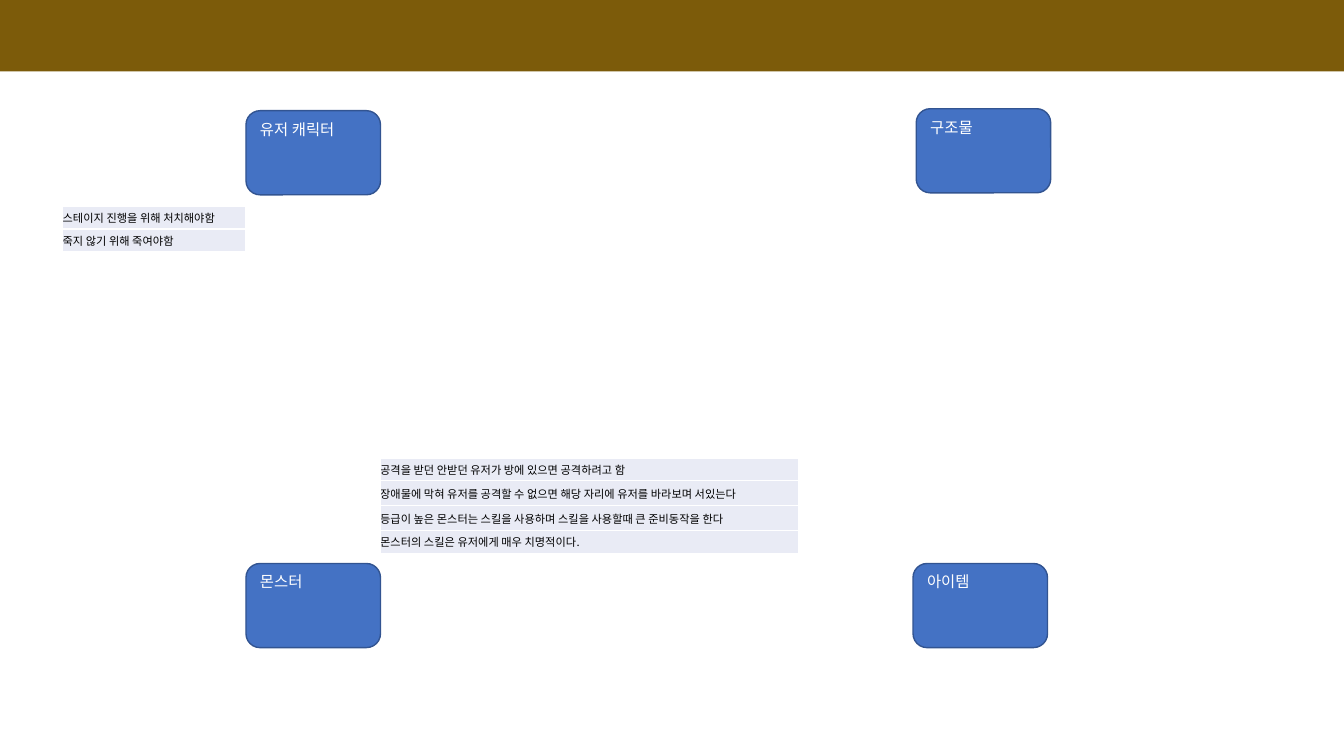
from pptx import Presentation
from pptx.dml.color import RGBColor
from pptx.enum.shapes import MSO_SHAPE as Preset
from pptx.enum.text import MSO_ANCHOR as Anchor, PP_ALIGN as Align
from pptx.oxml import parse_xml
from pptx.oxml.ns import nsdecls
from pptx.util import Cm, Pt

BROWN = RGBColor(0x7C, 0x5B, 0x0A)
BLUE = RGBColor(0x44, 0x72, 0xC4)
NAVY = RGBColor(0x32, 0x54, 0x91)
PALE = RGBColor(0xE9, 0xEB, 0xF5)
WHITE = RGBColor(0xFF, 0xFF, 0xFF)
BLACK = RGBColor(0x00, 0x00, 0x00)
FONT = "Noto Sans CJK KR"

ENTITIES = [
    ("유저 캐릭터", 6.2, 2.79),
    ("몬스터", 6.2, 14.2),
    ("아이템", 23.01, 14.2),
    ("구조물", 23.09, 2.74),
]
MONSTER_RULES = [
    ("공격을 받던 안받던 유저가 방에 있으면 공격하려고 함", 0.57),
    ("장애물에 막혀 유저를 공격할 수 없으면 해당 자리에 유저를 바라보며 서있는다", 0.63),
    ("등급이 높은 몬스터는 스킬을 사용하며 스킬을 사용할때 큰 준비동작을 한다", 0.63),
    ("몬스터의 스킬은 유저에게 매우 치명적이다.", 0.57),
]
USER_RULES = [
    ("스테이지 진행을 위해 처치해야함", 0.58),
    ("죽지 않기 위해 죽여야함", 0.58),
]


def write(frame, text, size, color):
    """Put one left-aligned line of text in a frame."""
    para = frame.paragraphs[0]
    para.text = text
    para.alignment = Align.LEFT
    font = para.font
    font.size = Pt(size)
    font.name = FONT
    font.color.rgb = color
    latin = font._element.find("{*}latin")
    latin.addnext(parse_xml(f'<a:ea {nsdecls("a")} typeface="{FONT}"/>'))


def add_box(page, preset, left, top, width, height, fill):
    """Add a filled shape without shadow or outline."""
    box = page.shapes.add_shape(preset, Cm(left), Cm(top), Cm(width), Cm(height))
    box.shadow.inherit = False
    box.fill.solid()
    box.fill.fore_color.rgb = fill
    box.line.fill.background()
    return box


def add_entity(page, name, left, top):
    """Add a rounded box that names a game entity."""
    box = add_box(page, Preset.ROUNDED_RECTANGLE, left, top, 3.39, 2.12, BLUE)
    box.line.color.rgb = NAVY
    box.line.width = Pt(1)
    box.text_frame.vertical_anchor = Anchor.TOP
    write(box.text_frame, name, 11, WHITE)


def add_borders(cell):
    """Draw a thin white line on each side of a cell."""
    properties = cell._tc.get_or_add_tcPr()
    for index, side in enumerate("LRTB"):
        properties.insert(index, parse_xml(
            f'<a:ln{side} {nsdecls("a")} w="{Pt(1)}"><a:solidFill>'
            f'<a:srgbClr val="{WHITE}"/></a:solidFill></a:ln{side}>'))


def add_rules(page, rules, left, top, width):
    """Add a one-column table of behaviour rules."""
    height = sum(row_height for _, row_height in rules)
    table = page.shapes.add_table(
        len(rules), 1, Cm(left), Cm(top), Cm(width), Cm(height)).table
    table.first_row = False
    table.horz_banding = False
    for index, (text, row_height) in enumerate(rules):
        table.rows[index].height = Cm(row_height)
        cell = table.cell(index, 0)
        cell.margin_left = cell.margin_right = 0
        cell.margin_top = cell.margin_bottom = 0
        cell.vertical_anchor = Anchor.MIDDLE
        cell.fill.solid()
        cell.fill.fore_color.rgb = PALE
        add_borders(cell)
        write(cell.text_frame, text, 8, BLACK)


def main():
    """Build the slide of game entities and their rules."""
    deck = Presentation()
    deck.slide_width, deck.slide_height = Cm(33.87), Cm(19.05)
    page = deck.slides.add_slide(deck.slide_layouts[6])
    add_box(page, Preset.RECTANGLE, 0, 0, 33.87, 1.8, BROWN)
    for name, left, top in ENTITIES:
        add_entity(page, name, left, top)
    add_rules(page, MONSTER_RULES, 9.58, 11.54, 10.54)
    add_rules(page, USER_RULES, 1.58, 5.19, 4.62)
    deck.save("out.pptx")


if __name__ == "__main__":
    main()
